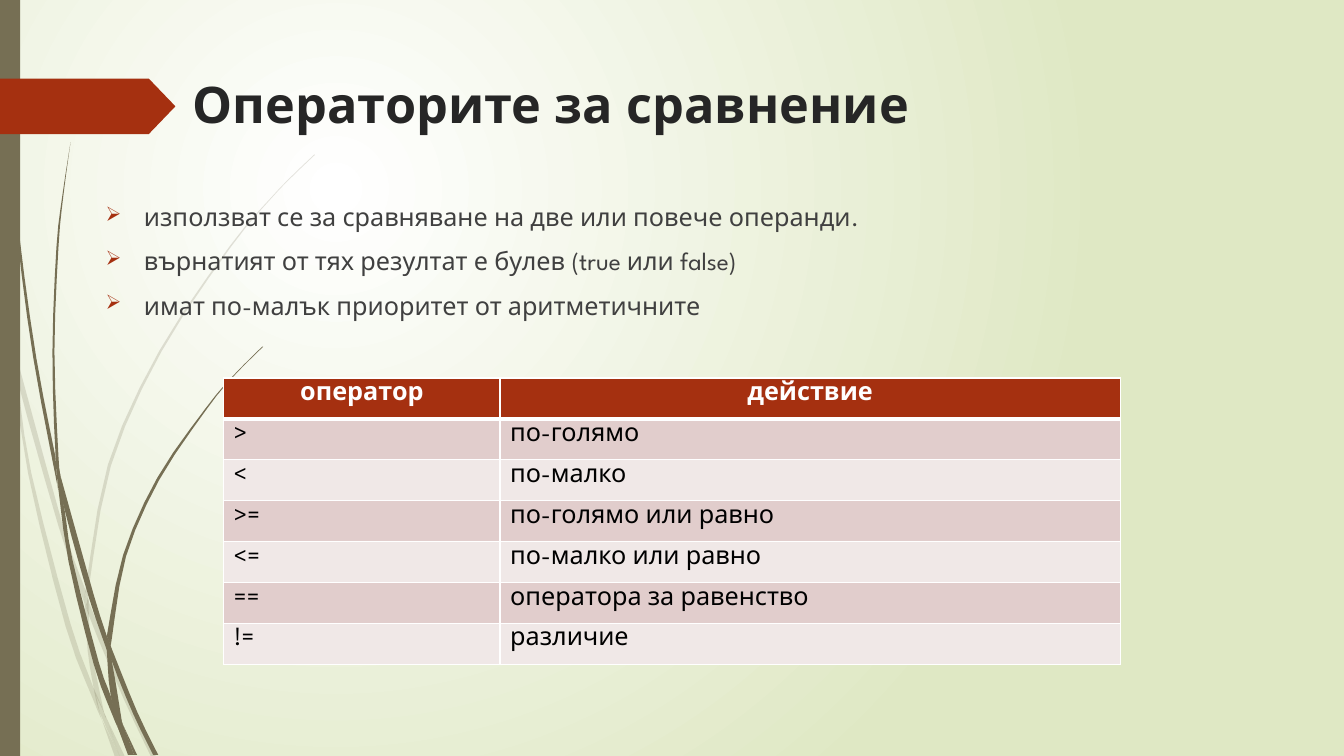
from lxml import etree
from pptx import Presentation
from pptx.dml.color import RGBColor
from pptx.enum.shapes import MSO_SHAPE as Shape
from pptx.enum.text import MSO_ANCHOR as Anchor, MSO_AUTO_SIZE as AutoSize, PP_ALIGN as Align
from pptx.oxml import parse_xml
from pptx.oxml.ns import nsdecls, qn
from pptx.util import Inches, Pt

FONT = "League Spartan"
COLORS = {
    "glow": "FFFFFF", "field": "DFE8C4", "grass": "766F54", "accent": "A53010",
    "title": "262626", "body": "404040", "white": "FFFFFF", "black": "000000",
    "band_dark": "E1CDCC", "band_light": "F0E8E7",
}
BULLETS = [
    "използват се за сравняване на две или повече операнди.",
    "върнатият от тях резултат е булев (true или false)",
    "имат по-малък приоритет от аритметичните",
]
OPERATORS = [
    ("оператор", "действие"),
    (">", "по-голямо"), ("<", "по-малко"),
    (">=", "по-голямо или равно"), ("<=", "по-малко или равно"),
    ("==", "оператора за равенство"), ("!=", "различие"),
]
# Each piece of grass is a left and a right edge, both listed downwards
PALE_GRASS = [
    ([(0, 2.99), (.1, 3.44), (.11, 3.5)], [(0, 2.82), (.09, 3.22), (.11, 3.5)]),
    ([(.14, 3.45), (.17, 3.76), (.58, 5.22), (.84, 5.99)],
     [(.14, 3.45), (.62, 5.2), (.85, 5.86)]),
    ([(.88, 5.96), (.88, 6.1), (1.23, 6.94), (1.5, 7.51)],
     [(.88, 5.96), (.92, 6.07), (1.27, 6.92), (1.55, 7.51)]),
    ([(1.05, 7.11), (1.19, 7.51)], [(1.05, 7.11), (1.24, 7.51)]),
    ([(.11, 3.5), (.28, 4.7), (.65, 6.21), (.92, 6.93), (1.01, 7.14)],
     [(.11, 3.5), (.17, 3.76), (.31, 4.69), (.7, 6.19), (.93, 6.83), (.99, 7.07)]),
    ([(.84, 5.99), (.87, 6.46), (.93, 6.83), (.96, 6.92)],
     [(.88, 6.08), (.91, 6.46), (1.03, 7.06), (1.05, 7.11)]),
    ([(3.12, 1.53), (2.89, 1.75), (2.68, 1.97), (2.28, 2.44), (1.58, 3.48), (1.07, 4.61),
      (.85, 5.84), (.85, 5.86)],
     [(3.12, 1.54), (2.9, 1.75), (2.68, 1.98), (2.29, 2.45), (1.6, 3.49), (1.1, 4.62),
      (.88, 5.84), (.88, 5.96)]),
    ([(1.01, 7.14), (1.14, 7.51)], [(1.01, 7.14), (1.19, 7.51)]),
    ([(.85, 5.86), (.84, 5.99)], [(.88, 5.96), (.88, 6.1)]),
    ([(.93, 6.83), (.99, 7.07), (1.19, 7.51)], [(.93, 6.83), (1.05, 7.11), (1.19, 7.51)]),
]
DARK_GRASS = [
    ([(.03, 0), (.04, .48), (.07, 1.1), (.17, 2.33), (.33, 3.55), (.56, 4.77), (.57, 4.81)],
     [(.04, 0), (.05, .48), (.08, 1.09), (.19, 2.32), (.36, 3.55), (.55, 4.53)]),
    ([(.6, 4.72), (.64, 5.05), (.88, 5.92), (1.06, 6.45)],
     [(.6, 4.72), (.93, 5.9), (1.06, 6.31)]),
    ([(1.1, 6.41), (1.11, 6.56), (1.32, 7.08), (1.52, 7.49)],
     [(1.1, 6.41), (1.13, 6.49), (1.36, 7.06), (1.57, 7.49)]),
    ([(.57, 4.77), (.68, 5.57), (.93, 6.59), (1.11, 7.08), (1.17, 7.22)],
     [(.57, 4.77), (.64, 5.05), (.72, 5.56), (.98, 6.57), (1.1, 6.91), (1.16, 7.17)]),
    ([(.7, 1.41), (.62, 1.93), (.56, 2.45), (.52, 3.49), (.55, 4.49), (.6, 4.72)],
     [(.7, 1.41), (.63, 1.93), (.58, 2.45), (.54, 3.49), (.58, 4.53), (.6, 4.72)]),
    ([(1.22, 7.19), (1.33, 7.49)], [(1.22, 7.19), (1.36, 7.49)]),
    ([(.55, 4.49), (.57, 4.77), (.64, 5.05)], [(.55, 4.49), (.6, 4.72), (.64, 5.05)]),
    ([(2.6, 3.44), (2.31, 3.73), (2.04, 4.05), (1.56, 4.74), (1.22, 5.51), (1.06, 6.31)],
     [(2.61, 3.44), (2.31, 3.74), (2.05, 4.06), (1.58, 4.76), (1.25, 5.52), (1.11, 6.33),
      (1.1, 6.41)]),
    ([(1.17, 7.22), (1.27, 7.49)], [(1.17, 7.22), (1.31, 7.49)]),
    ([(1.06, 6.45), (1.1, 6.91), (1.22, 7.19)], [(1.06, 6.45), (1.11, 6.56), (1.21, 7.16)]),
    ([(1.06, 6.31), (1.06, 6.45), (1.11, 6.56)], [(1.06, 6.31), (1.1, 6.41), (1.11, 6.56)]),
    ([(1.1, 6.91), (1.17, 7.22), (1.3, 7.49)], [(1.1, 6.91), (1.22, 7.19), (1.33, 7.49)]),
]


def rgb(name):
    return RGBColor.from_string(COLORS[name])


def style(para, size, color, bold=False):
    para.font.name = FONT
    para.font.size = Pt(size)
    para.font.bold = bold
    para.font.color.rgb = rgb(color)


def paint(shape, color):
    shape.shadow.inherit = False
    shape.fill.solid()
    shape.fill.fore_color.rgb = rgb(color)
    shape.line.fill.background()


def smooth(points, steps=3):
    """Curve passing through all points (Catmull-Rom)."""
    padded = [points[0], *points, points[-1]]
    curve = []
    for a, b, c, d in zip(padded, padded[1:], padded[2:], padded[3:]):
        for t in (step / steps for step in range(steps)):
            curve.append(tuple(
                q + t / 2 * (r - p + t * (2 * p - 5 * q + 4 * r - s + t * (3 * (q - r) + s - p)))
                for p, q, r, s in zip(a, b, c, d)))
    return curve + [points[-1]]


def add_background(page):
    stops = "".join(
        f'<a:gs pos="{pos}"><a:srgbClr val="{COLORS[name]}"/></a:gs>'
        for pos, name in ((0, "glow"), (100000, "field")))
    page._element.cSld.insert(0, parse_xml(
        f'<p:bg {nsdecls("p", "a")}><p:bgPr><a:gradFill rotWithShape="1"><a:gsLst>{stops}</a:gsLst>'
        '<a:path path="circle"><a:fillToRect l="50000" t="50000" r="100000" b="100000"/></a:path>'
        '</a:gradFill><a:effectLst/></p:bgPr></p:bg>'))


def add_grass(page, left, top, pieces, opacity=100):
    for left_edge, right_edge in pieces:
        outline = [(Inches(left + x), Inches(top + y))
                   for x, y in smooth(left_edge) + smooth(right_edge)[::-1]]
        builder = page.shapes.build_freeform(*outline[0])
        builder.add_line_segments(outline[1:], close=True)
        piece = builder.convert_to_shape()
        paint(piece, "grass")
        if opacity < 100:
            tint = piece._element.spPr.find(qn("a:solidFill"))[0]
            etree.SubElement(tint, qn("a:alpha"), val=str(opacity * 1000))


def add_block(page, kind, color, left, top, width, height):
    block = page.shapes.add_shape(
        kind, Inches(left), Inches(top), Inches(width), Inches(height))
    paint(block, color)
    return block


def set_title(page, left, top, width, height):
    title = page.shapes.title
    title.left, title.top = Inches(left), Inches(top)
    title.width, title.height = Inches(width), Inches(height)
    frame = title.text_frame
    frame.text = "Операторите за сравнение"
    frame.vertical_anchor = Anchor.TOP
    frame.auto_size = AutoSize.NONE
    frame.paragraphs[0].alignment = Align.LEFT
    style(frame.paragraphs[0], 36, "title", bold=True)


def add_bullets(page, left, top, width, height):
    box = page.shapes.add_textbox(Inches(left), Inches(top), Inches(width), Inches(height))
    frame = box.text_frame
    frame.word_wrap = True
    frame.text = "\n".join(BULLETS)
    for para in frame.paragraphs:
        style(para, 18, "body")
        para.space_before = Pt(10)
        props = para._p.get_or_add_pPr()
        props.set("marL", str(Inches(0.38)))
        props.set("indent", str(-Inches(0.38)))
        bullet_color = etree.SubElement(props, qn("a:buClr"))
        etree.SubElement(bullet_color, qn("a:srgbClr"), val=COLORS["accent"])
        etree.SubElement(props, qn("a:buSzPct"), val="80000")
        etree.SubElement(props, qn("a:buFont"), typeface="OpenSymbol")
        etree.SubElement(props, qn("a:buChar"), char="➢")
        props.append(props.find(qn("a:defRPr")))


def set_borders(cell, bottom):
    props = cell._tc.get_or_add_tcPr()
    widths = {"lnL": 1, "lnR": 1, "lnT": 1, "lnB": bottom}
    for index, (side, width) in enumerate(widths.items()):
        props.insert(index, parse_xml(
            f'<a:{side} {nsdecls("a")} w="{Pt(width)}"><a:solidFill>'
            f'<a:srgbClr val="{COLORS["white"]}"/></a:solidFill></a:{side}>'))


def add_operator_table(page, left, top, width, height):
    table = page.shapes.add_table(
        len(OPERATORS), 2, Inches(left), Inches(top), Inches(width), Inches(height)).table
    table.columns[0].width = Inches(2.74)
    table.columns[1].width = Inches(width - 2.74)
    for row, texts in enumerate(OPERATORS):
        header = row == 0
        fill = "accent" if header else "band_dark" if row % 2 else "band_light"
        for column, text in enumerate(texts):
            cell = table.cell(row, column)
            cell.text = text
            cell.fill.solid()
            cell.fill.fore_color.rgb = rgb(fill)
            set_borders(cell, 3 if header else 1)
            para = cell.text_frame.paragraphs[0]
            para.alignment = Align.CENTER if header else Align.LEFT
            style(para, 18, "white" if header else "black", bold=header)


def main():
    deck = Presentation()
    deck.slide_width, deck.slide_height = Inches(13.33), Inches(7.5)
    page = deck.slides.add_slide(deck.slide_layouts[5])
    # Decoration
    add_background(page)
    add_grass(page, 0, 0, PALE_GRASS, opacity=20)
    add_grass(page, 0, 0, DARK_GRASS)
    add_block(page, Shape.RECTANGLE, "grass", 0, 0, 0.2, 7.5)
    tag = add_block(page, Shape.PENTAGON, "accent", 0, 0.78, 1.74, 0.55)
    tag.adjustments[0] = 0.48
    # Content
    set_title(page, 1.81, 0.68, 10.77, 1.16)
    add_bullets(page, 0.95, 1.95, 11.63, 5.12)
    add_operator_table(page, 2.22, 3.75, 8.89, 2.84)
    deck.save("out.pptx")


if __name__ == "__main__":
    main()
